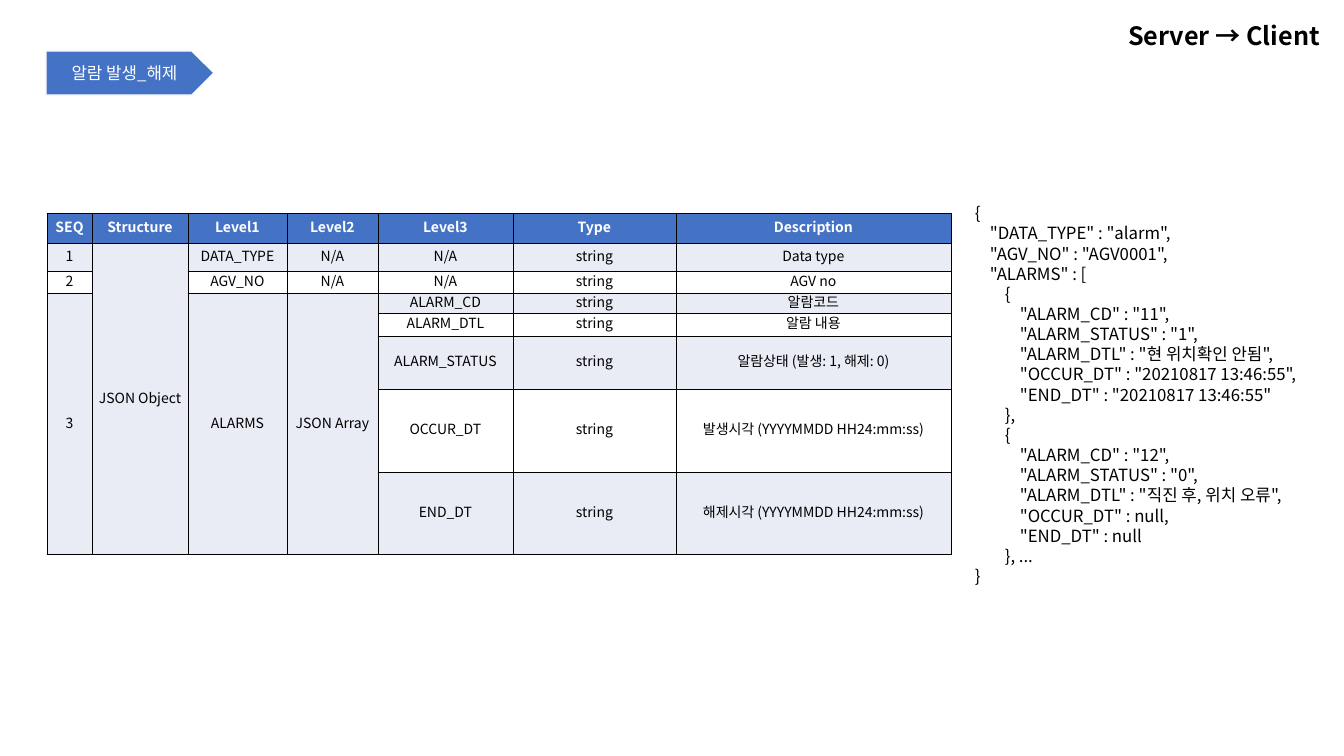
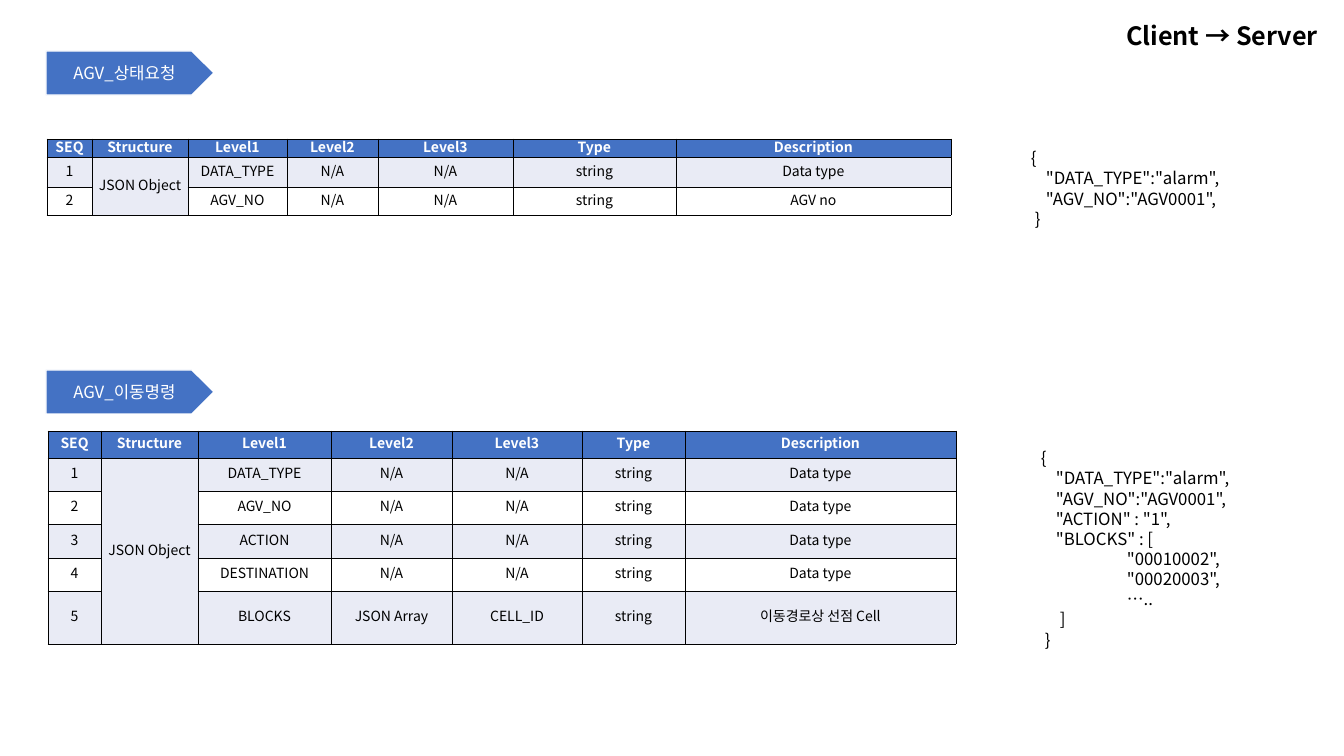
"""Message specification slides: field tables beside sample JSON."""
from dataclasses import dataclass
from typing import Optional

import lxml.etree
import pptx
import pptx.dml.color
import pptx.enum.shapes
import pptx.enum.text
import pptx.oxml.ns
import pptx.util

EMU_PER_PIXEL = 914400 / 100.8
SLIDE_SIZE = (1344, 756)
TITLE_ONLY_LAYOUT = 5
STEP = 15  # JSON indent per nesting level

ALIGN = pptx.enum.text.PP_ALIGN
ANCHOR = pptx.enum.text.MSO_ANCHOR

Row = tuple[Optional[str], ...]


@dataclass(frozen=True)
class Theme:
    """Colours, font and type sizes of the deck."""
    accent: str = "4472C4"
    band: str = "E9EBF5"
    paper: str = "FFFFFF"
    ink: str = "000000"
    font: str = "Noto Sans CJK KR"
    title_size: int = 18
    text_size: int = 12
    cell_size: int = 10
    line_height: float = 1.2
    rule_width: float = 0.5


@dataclass(frozen=True)
class Box:
    """A rectangle in pixels."""
    left: int
    top: int
    width: int
    height: int


@dataclass(frozen=True)
class Line:
    """One line of text and its left indent in pixels."""
    text: str
    indent: int = 0


@dataclass(frozen=True)
class FieldTable:
    """Field list; None in a row continues the cell above."""
    left: int
    top: int
    columns: tuple[int, ...]
    heights: tuple[int, ...]
    rows: tuple[Row, ...]


@dataclass(frozen=True)
class Message:
    """A labelled message with its fields and sample."""
    label: str
    label_top: int
    fields: FieldTable
    sample_box: Box
    sample: tuple[Line, ...]


@dataclass(frozen=True)
class Direction:
    """A slide: who sends to whom, and which messages."""
    title: str
    title_box: Box
    messages: tuple[Message, ...]


THEME = Theme()
HEADINGS: Row = ("SEQ", "Structure", "Level1", "Level2", "Level3", "Type", "Description")
COMMON_COLUMNS = (45, 96, 99, 91, 135, 163, 275)


def px(pixels: float) -> pptx.util.Emu:
    """Turn pixels into EMU."""
    return pptx.util.Emu(round(pixels * EMU_PER_PIXEL))


def place(box: Box) -> tuple[pptx.util.Emu, ...]:
    """Give the box as left, top, width and height in EMU."""
    return px(box.left), px(box.top), px(box.width), px(box.height)


def rgb(value: str) -> pptx.dml.color.RGBColor:
    """Read a hex colour."""
    return pptx.dml.color.RGBColor.from_string(value)


def write(frame, *lines: Line, size: int = THEME.text_size, color: str = THEME.ink,
          bold: bool = False, align=ALIGN.LEFT, anchor=ANCHOR.TOP) -> None:
    """Fill a text frame with one paragraph per line."""
    frame.word_wrap = True
    frame.vertical_anchor = anchor
    for number, line in enumerate(lines):
        paragraph = frame.paragraphs[0] if number == 0 else frame.add_paragraph()
        paragraph.alignment = align
        paragraph.line_spacing = pptx.util.Pt(size * THEME.line_height)
        if line.indent:
            properties = paragraph._p.get_or_add_pPr()
            properties.set("marL", str(px(line.indent)))
            properties.set("indent", "0")
        run = paragraph.add_run()
        run.text = line.text
        run.font.name = THEME.font
        run.font.size = pptx.util.Pt(size)
        run.font.bold = bold
        run.font.color.rgb = rgb(color)
        east_asian = lxml.etree.SubElement(run._r.rPr, pptx.oxml.ns.qn("a:ea"))
        east_asian.set("typeface", THEME.font)


def rule_cell(cell) -> None:
    """Draw thin rules on all four sides of a cell."""
    properties = cell._tc.get_or_add_tcPr()
    for position, side in enumerate(("lnL", "lnR", "lnT", "lnB")):
        rule = lxml.etree.Element(pptx.oxml.ns.qn(f"a:{side}"))
        rule.set("w", str(pptx.util.Pt(THEME.rule_width)))
        fill = lxml.etree.SubElement(rule, pptx.oxml.ns.qn("a:solidFill"))
        lxml.etree.SubElement(fill, pptx.oxml.ns.qn("a:srgbClr")).set("val", THEME.ink)
        properties.insert(position, rule)


def merge_down(table, rows: tuple[Row, ...]) -> None:
    """Merge each cell with the continued cells below it."""
    for column in range(len(HEADINGS)):
        start = 0
        for row in range(1, len(rows) + 1):
            if row < len(rows) and rows[row][column] is None:
                continue
            if row - start > 1:
                table.cell(start, column).merge(table.cell(row - 1, column))
            start = row


def draw_fields(slide, fields: FieldTable) -> None:
    """Draw a field table with a header and banded rows."""
    rows = (HEADINGS, *fields.rows)
    box = Box(fields.left, fields.top, sum(fields.columns), sum(fields.heights))
    table = slide.shapes.add_table(len(rows), len(HEADINGS), *place(box)).table
    table.first_row = table.horz_banding = False
    for column, width in zip(table.columns, fields.columns):
        column.width = px(width)
    for row, height in zip(table.rows, fields.heights):
        row.height = px(height)
    for r, row in enumerate(rows):
        header = r == 0
        fill = THEME.accent if header else (THEME.paper, THEME.band)[r % 2]
        for c, text in enumerate(row):
            cell = table.cell(r, c)
            cell.margin_left = cell.margin_right = cell.margin_top = cell.margin_bottom = 0
            cell.fill.solid()
            cell.fill.fore_color.rgb = rgb(fill)
            rule_cell(cell)
            if text is not None:
                write(cell.text_frame, Line(text), size=THEME.cell_size, bold=header,
                      color=THEME.paper if header else THEME.ink, align=ALIGN.CENTER)
                cell.vertical_anchor = ANCHOR.MIDDLE
    merge_down(table, rows)


def draw_label(slide, text: str, top: int) -> None:
    """Draw the pentagon naming a message."""
    label = slide.shapes.add_shape(pptx.enum.shapes.MSO_SHAPE.PENTAGON,
                                   *place(Box(46, top, 168, 44)))
    label.shadow.inherit = False
    label.fill.solid()
    label.fill.fore_color.rgb = rgb(THEME.accent)
    label.line.color.rgb = rgb(THEME.paper)
    label.line.width = pptx.util.Pt(1)
    write(label.text_frame, Line(text), color=THEME.paper, align=ALIGN.CENTER,
          anchor=ANCHOR.MIDDLE)


def draw_direction(deck, direction: Direction) -> None:
    """Add a slide with its title and messages."""
    slide = deck.slides.add_slide(deck.slide_layouts[TITLE_ONLY_LAYOUT])
    title = slide.shapes.title
    title.left, title.top, title.width, title.height = place(direction.title_box)
    title.text_frame.auto_size = pptx.enum.text.MSO_AUTO_SIZE.NONE
    write(title.text_frame, Line(direction.title), size=THEME.title_size, bold=True)
    for message in direction.messages:
        draw_label(slide, message.label, message.label_top)
        draw_fields(slide, message.fields)
        sample = slide.shapes.add_textbox(*place(message.sample_box))
        write(sample.text_frame, *message.sample)


def alarm_sample(code: str, status: str, detail: str, occurred: str, ended: str,
                 closing: str) -> tuple[Line, ...]:
    """Give the JSON lines of one alarm."""
    members = (f'"ALARM_CD" : "{code}",', f'"ALARM_STATUS" : "{status}",',
               f'"ALARM_DTL" : "{detail}",', f'"OCCUR_DT" : {occurred},',
               f'"END_DT" : {ended}')
    return (Line("{", 2 * STEP), *(Line(member, 3 * STEP) for member in members),
            Line(closing, 2 * STEP))


def plain_field(number: int, name: str, description: str = "Data type",
                structure: Optional[str] = None) -> Row:
    """Give the row of a field without nested levels."""
    return (str(number), structure, name, "N/A", "N/A", "string", description)


def alarm_field(name: str, description: str) -> Row:
    """Give the row of a field nested in an alarm."""
    return (None, None, None, None, name, "string", description)


DATA_TYPE = plain_field(1, "DATA_TYPE", structure="JSON Object")
AGV_NO = plain_field(2, "AGV_NO", "AGV no")
REQUEST_HEAD = (Line("{"), Line('"DATA_TYPE":"alarm",', STEP),
                Line('"AGV_NO":"AGV0001",', STEP))
ALARM_TIME = '"20210817 13:46:55"'

ALARM = Message(
    "알람 발생_해제", 51,
    FieldTable(47, 213, COMMON_COLUMNS, (30, 28, 22, 20, 23, 53, 83, 83), (
        DATA_TYPE,
        AGV_NO,
        ("3", None, "ALARMS", "JSON Array", "ALARM_CD", "string", "알람코드"),
        alarm_field("ALARM_DTL", "알람 내용"),
        alarm_field("ALARM_STATUS", "알람상태 (발생: 1, 해제: 0)"),
        alarm_field("OCCUR_DT", "발생시각 (YYYYMMDD HH24:mm:ss)"),
        alarm_field("END_DT", "해제시각 (YYYYMMDD HH24:mm:ss)"))),
    Box(965, 198, 402, 397),
    (Line("{"), Line('"DATA_TYPE" : "alarm",', STEP), Line('"AGV_NO" : "AGV0001",', STEP),
     Line('"ALARMS" : [', STEP),
     *alarm_sample("11", "1", "현 위치확인 안됨", ALARM_TIME, ALARM_TIME, "},"),
     *alarm_sample("12", "0", "직진 후, 위치 오류", "null", "null", "}, ..."),
     Line("}")))

STATUS_REQUEST = Message(
    "AGV_상태요청", 51,
    FieldTable(47, 139, COMMON_COLUMNS, (18, 30, 28), (DATA_TYPE, AGV_NO)),
    Box(1021, 143, 284, 92),
    (*REQUEST_HEAD, Line("}", 4)))

MOVE_COMMAND = Message(
    "AGV_이동명령", 370,
    FieldTable(48, 431, (53, 97, 133, 121, 130, 103, 271), (27, 33, 33, 34, 33, 53), (
        DATA_TYPE,
        *(plain_field(number, name)
          for number, name in enumerate(("AGV_NO", "ACTION", "DESTINATION"), 2)),
        ("5", None, "BLOCKS", "JSON Array", "CELL_ID", "string", "이동경로상 선점 Cell"))),
    Box(1031, 443, 284, 214),
    (*REQUEST_HEAD, Line('"ACTION" : "1",', STEP), Line('"BLOCKS" : [', STEP),
     *(Line(block, 86) for block in ('"00010002",', '"00020003",', "…..")),
     Line("]", 19), Line("}", 4)))

DIRECTIONS = (
    Direction("Server → Client", Box(1118, 15, 217, 40), (ALARM,)),
    Direction("Client → Server", Box(1116, 15, 232, 40), (STATUS_REQUEST, MOVE_COMMAND)),
)


def main() -> None:
    """Build and save the deck."""
    deck = pptx.Presentation()
    deck.slide_width, deck.slide_height = map(px, SLIDE_SIZE)
    for direction in DIRECTIONS:
        draw_direction(deck, direction)
    deck.save("out.pptx")


main()
